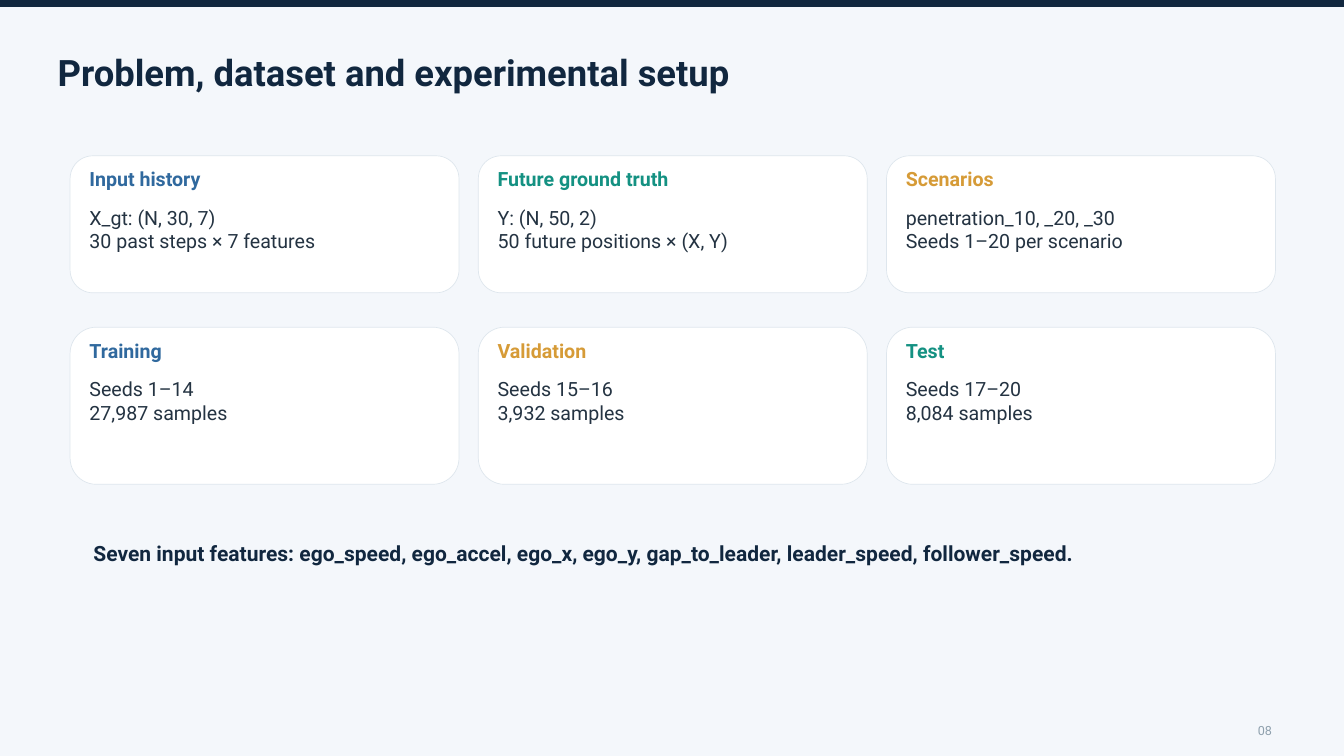
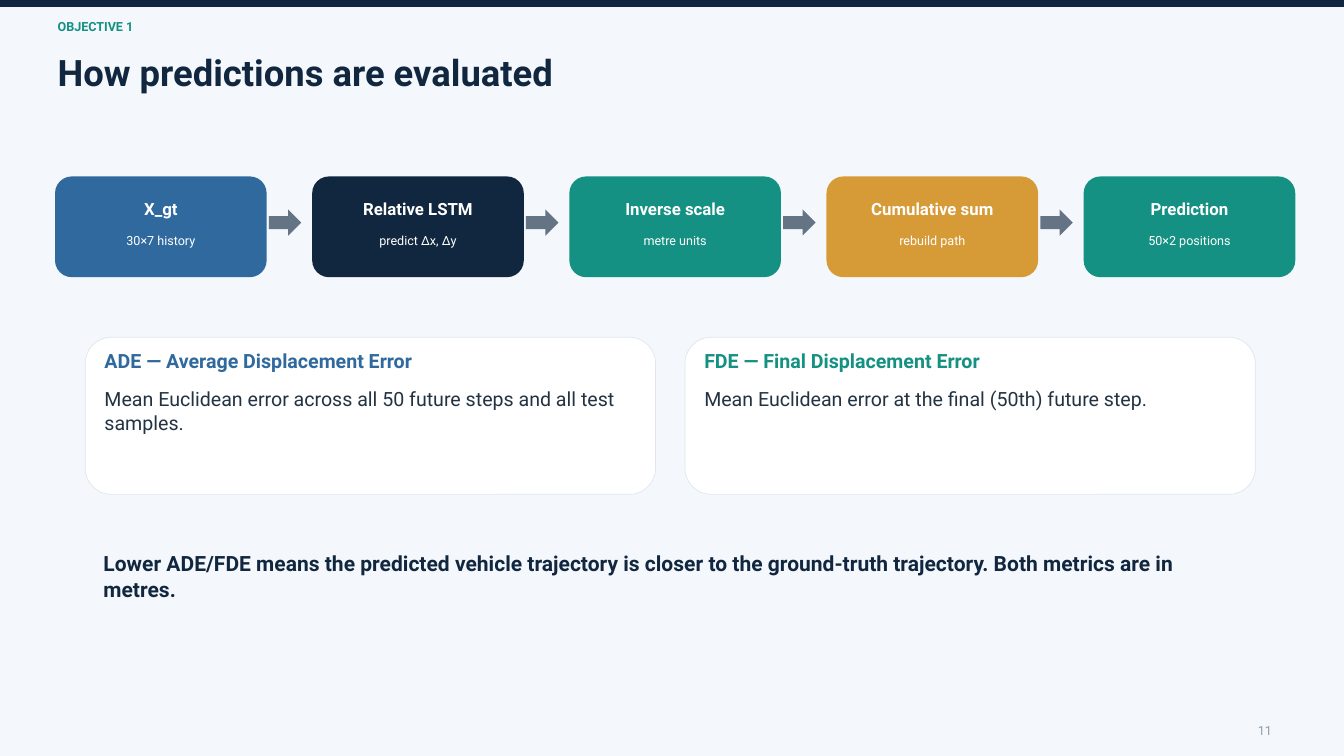
"""Build two slides on trajectory prediction: the data setup and the evaluation."""
from pptx import Presentation
from pptx.dml.color import RGBColor
from pptx.enum.shapes import MSO_SHAPE
from pptx.enum.text import MSO_ANCHOR, PP_ALIGN
from pptx.util import Cm, Pt

COLORS = {
    "background": "F4F7FB", "navy": "11273F", "blue": "30699E",
    "teal": "149182", "gold": "D69B37", "white": "FFFFFF",
    "border": "DEE6ED", "body": "243342", "arrow": "647484", "muted": "8EA0AD",
}
FORMATS = {
    "kicker": {"size": Pt(13.5), "bold": True},
    "title": {"size": Pt(39), "bold": True},
    "heading": {"size": Pt(21), "bold": True},
    "body": {"size": Pt(21), "bold": False},
    "note": {"size": Pt(22.5), "bold": True},
    "step": {"size": Pt(18), "bold": True},
    "small": {"size": Pt(13.5), "bold": False},
}
FRAME = {"word_wrap": True, "margin_left": 0, "margin_top": 0,
         "margin_right": 0, "margin_bottom": 0}


def rgb(name):
    """Return the named colour."""
    return RGBColor.from_string(COLORS[name])


def set_all(obj, values):
    """Set every attribute of obj named in values."""
    for name, value in values.items():
        setattr(obj, name, value)


class Deck:
    """Hold the shared style and the current slide."""

    def __init__(self):
        """Start a presentation of 50.8 by 28.58 cm."""
        self.prs = Presentation()
        set_all(self.prs, {"slide_width": Cm(50.8), "slide_height": Cm(28.58)})
        self.s = None

    def slide(self, title, number, kicker=None):
        """Add a slide with its background, band, title and page number."""
        self.s = self.prs.slides.add_slide(self.prs.slide_layouts[6])
        fill = self.s.background.fill
        fill.solid()
        fill.fore_color.rgb = rgb("background")
        self.shape(MSO_SHAPE.RECTANGLE, 0, 0, 50.8, 0.26, "navy")
        if kicker:
            self.text(kicker, 2.18, 0.71, 15.04, 0.66, "kicker", "teal")
        self.text(title, 2.18, 1.88, 46.28, 1.98, "title", "navy")
        self.text(number, 45.72, 27.25, 2.36, 0.71, "small", "muted",
                  PP_ALIGN.RIGHT, MSO_ANCHOR.MIDDLE)

    def shape(self, kind, x, y, w, h, fill, line=None):
        """Add a flat preset shape."""
        sp = self.s.shapes.add_shape(kind, Cm(x), Cm(y), Cm(w), Cm(h))
        sp.shadow.inherit = False
        sp.fill.solid()
        sp.fill.fore_color.rgb = rgb(fill)
        if line:
            sp.line.color.rgb = rgb(line)
            sp.line.width = Pt(0.75)
        else:
            sp.line.fill.background()

    def text(self, text, x, y, w, h, style, color,
             align=PP_ALIGN.LEFT, anchor=MSO_ANCHOR.TOP):
        """Add a text box with one paragraph for each line of text."""
        tf = self.s.shapes.add_textbox(Cm(x), Cm(y), Cm(w), Cm(h)).text_frame
        set_all(tf, {**FRAME, "vertical_anchor": anchor, "text": text})
        fmt = FORMATS[style]
        for p in tf.paragraphs:
            set_all(p, {"alignment": align, "line_spacing": Pt(fmt["size"].pt * 1.2)})
            for r in p.runs:
                set_all(r.font, {"name": "Roboto", **fmt})
                r.font.color.rgb = rgb(color)

    def card(self, x, y, w, h, heading, body, color):
        """Add a white card with a coloured heading and body text."""
        self.shape(MSO_SHAPE.ROUNDED_RECTANGLE, x, y, w, h, "white", "border")
        self.text(heading, x + 0.73, y + 0.43, w - 1.46, 0.97, "heading", color)
        self.text(body, x + 0.73, y + 1.88, w - 1.46, h - 2.31, "body", "body")

    def card_row(self, x, y, w, h, pitch, cards):
        """Add a row of evenly spaced cards."""
        for i, card in enumerate(cards):
            self.card(x + i * pitch, y, w, h, *card)

    def flow(self, x, y, pitch, steps):
        """Add a row of process steps with block arrows between them."""
        w, h = 8, 3.81
        for i, (label, detail, color) in enumerate(steps):
            left = x + i * pitch
            self.shape(MSO_SHAPE.ROUNDED_RECTANGLE, left, y, w, h, color)
            self.text(label, left + 0.41, y + 0.84, w - 0.82, 0.89,
                      "step", "white", PP_ALIGN.CENTER)
            self.text(detail, left + 0.41, y + 2.13, w - 0.82, 0.74,
                      "small", "white", PP_ALIGN.CENTER)
            if i < len(steps) - 1:
                self.shape(MSO_SHAPE.RIGHT_ARROW, left + w + 0.08, y + 1.25,
                           1.23, 0.99, "arrow")


def main():
    """Build both slides and save them."""
    deck = Deck()

    deck.slide("Problem, dataset and experimental setup", "08")
    deck.card_row(2.65, 5.89, 14.7, 5.18, 15.43, [
        ("Input history", "X_gt: (N, 30, 7)\n30 past steps × 7 features", "blue"),
        ("Future ground truth", "Y: (N, 50, 2)\n50 future positions × (X, Y)", "teal"),
        ("Scenarios", "penetration_10, _20, _30\nSeeds 1–20 per scenario", "gold"),
    ])
    deck.card_row(2.65, 12.37, 14.7, 5.94, 15.43, [
        ("Training", "Seeds 1–14\n27,987 samples", "blue"),
        ("Validation", "Seeds 15–16\n3,932 samples", "gold"),
        ("Test", "Seeds 17–20\n8,084 samples", "teal"),
    ])
    deck.text("Seven input features: ego_speed, ego_accel, ego_x, ego_y, "
              "gap_to_leader, leader_speed, follower_speed.",
              3.53, 20.45, 43.61, 2.54, "note", "navy")

    deck.slide("How predictions are evaluated", "11", "OBJECTIVE 1")
    deck.flow(2.08, 6.67, 9.72, [
        ("X_gt", "30×7 history", "blue"),
        ("Relative LSTM", "predict Δx, Δy", "navy"),
        ("Inverse scale", "metre units", "teal"),
        ("Cumulative sum", "rebuild path", "gold"),
        ("Prediction", "50×2 positions", "teal"),
    ])
    deck.card_row(3.22, 12.75, 21.56, 5.94, 22.67, [
        ("ADE — Average Displacement Error",
         "Mean Euclidean error across all 50 future steps and all test samples.",
         "blue"),
        ("FDE — Final Displacement Error",
         "Mean Euclidean error at the final (50th) future step.", "teal"),
    ])
    deck.text("Lower ADE/FDE means the predicted vehicle trajectory is closer to "
              "the ground-truth trajectory. Both metrics are in metres.",
              3.91, 20.83, 42.47, 2.36, "note", "navy")

    deck.prs.save("out.pptx")


if __name__ == "__main__":
    main()
